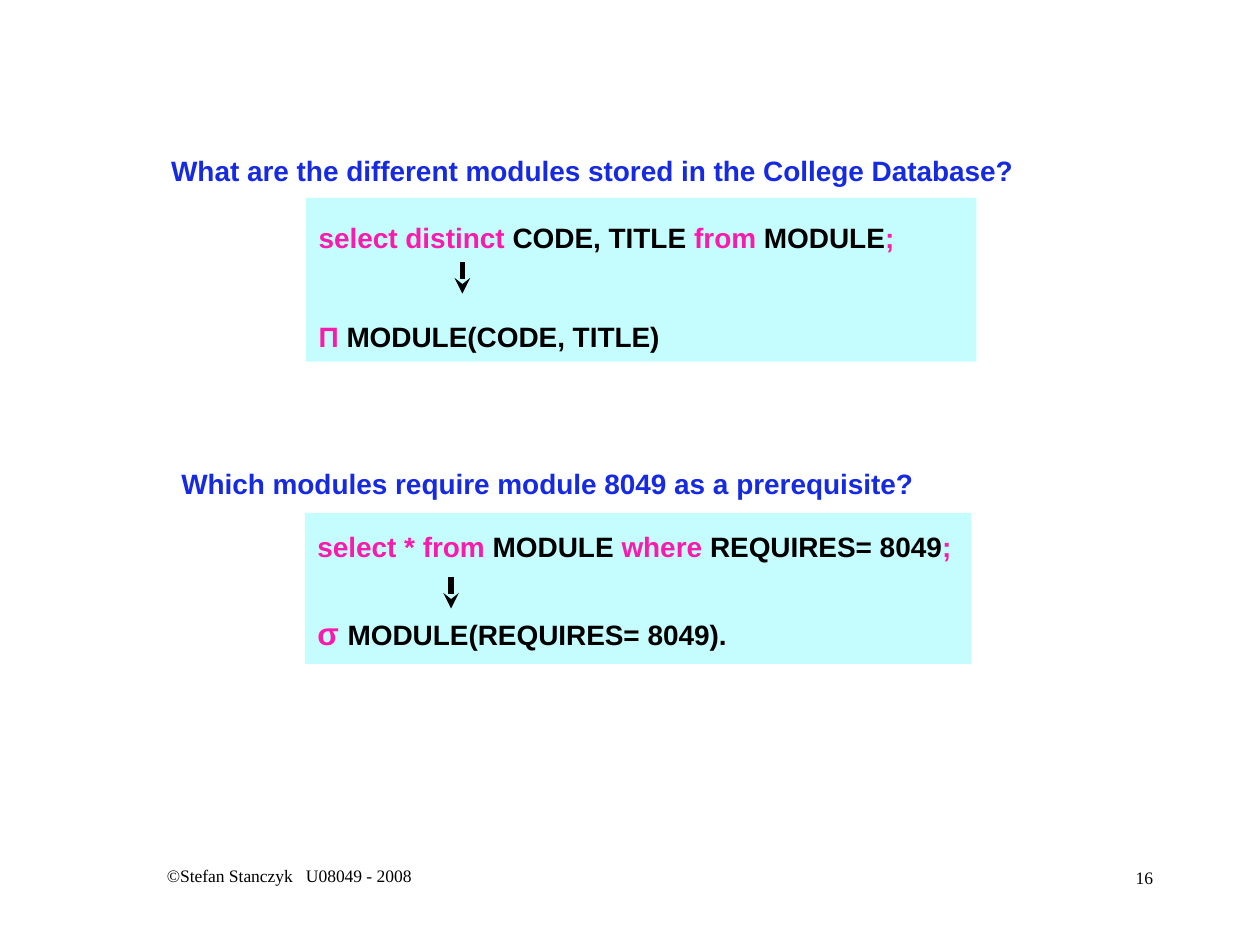
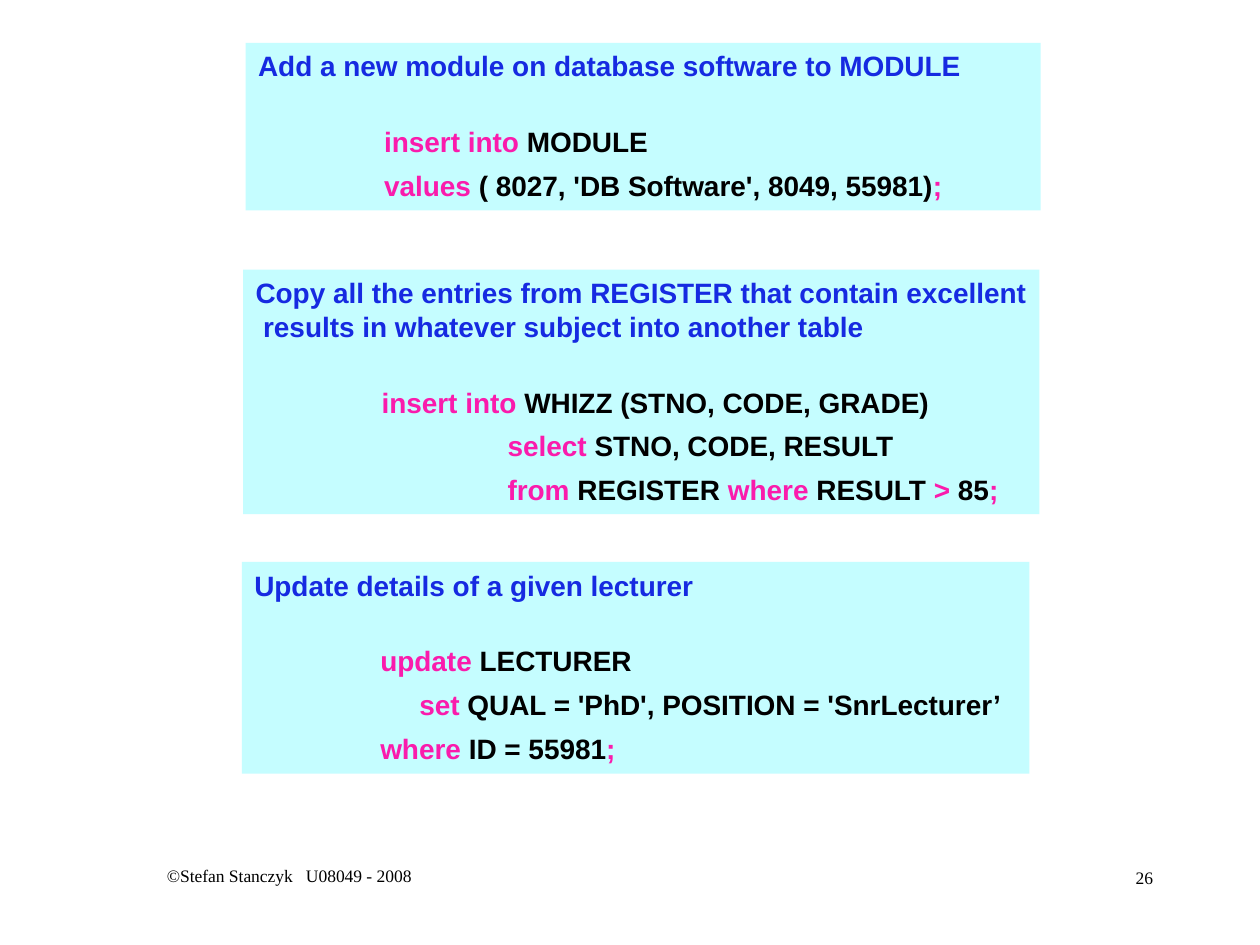
import itertools

import pptx
import pptx.dml.color
import pptx.enum.shapes
import pptx.enum.text
import pptx.oxml
import pptx.oxml.ns
import pptx.util

presentation = pptx.Presentation()
presentation.slide_width = pptx.util.Inches(10)
presentation.slide_height = pptx.util.Inches(7.5)
column = presentation.slide_width / 100
row = presentation.slide_height / 75

BLUE, PINK, BLACK, PANEL = "162AE1", "FA1BAC", "000000", "C5FDFF"
ALIGN = pptx.enum.text.PP_ALIGN

heading = {"colours": [BLUE], "sizes": [16], "font": "Arial", "bold": True}
heading_rest = {**heading, "indent": 0.6}
code = {**heading, "colours": [PINK, BLACK]}
query = {**code, "format": {"line_spacing": 1.5}}
algebra = {**code, "format": {"line_spacing": 1.5, "space_before": pptx.util.Pt(27.6)}}
wide_query = {**code, "format": {"line_spacing": 1.3}}
selection = {**code, "sizes": [18, 16], "format": {"space_before": pptx.util.Pt(29.3)}}
statement = {**wide_query, "indent": 10}
first_statement = {**statement, "format": {"line_spacing": 1.3, "space_before": pptx.util.Pt(18.4)}}
set_clause = {**statement, "indent": 13.1}
subquery = {**statement, "indent": 20}
footer = {"colours": [BLACK], "sizes": [10], "font": "Times New Roman", "bold": False}
footer_left = {**footer, "format": {"alignment": ALIGN.CENTER}}
footer_right = {**footer, "format": {"alignment": ALIGN.RIGHT}}


def colour(hex_string):
    return pptx.dml.color.RGBColor.from_string(hex_string)


def add_box(slide, bounds, lines, fill=None):
    left, top, width, height = bounds
    place = [round(length) for length in (left * column, top * row, width * column, height * row)]
    if fill:
        shape = slide.shapes.add_shape(pptx.enum.shapes.MSO_SHAPE.RECTANGLE, *place)
        shape.shadow.inherit = False
        shape.fill.solid()
        shape.fill.fore_color.rgb = colour(fill)
        shape.line.fill.background()
    else:
        shape = slide.shapes.add_textbox(*place)
    frame = shape.text_frame
    frame_format = {
        "word_wrap": True,
        "vertical_anchor": pptx.enum.text.MSO_ANCHOR.TOP,
        "margin_right": round(column) if lines[0][0] is footer_right else 0,
    }
    if lines[0][0] is footer_left:
        frame_format["margin_right"] = round(column)
    for name, value in frame_format.items():
        setattr(frame, name, value)
    for number, (style, text) in enumerate(lines):
        paragraph = frame.add_paragraph() if number else frame.paragraphs[0]
        paragraph_format = {"alignment": ALIGN.LEFT, **style.get("format", {})}
        for name, value in paragraph_format.items():
            setattr(paragraph, name, value)
        properties = paragraph._p.get_or_add_pPr()
        properties.set("marL", str(round(style.get("indent", 0) * column)))
        properties.set("indent", "0")
        parts = zip(text.split("|"), itertools.cycle(style["colours"]), itertools.cycle(style["sizes"]))
        for words, run_colour, size in parts:
            run = paragraph.add_run()
            run.text = words
            run.font.color.rgb = colour(run_colour)
            run_format = {"size": pptx.util.Pt(size), "name": style["font"], "bold": style["bold"]}
            for name, value in run_format.items():
                setattr(run.font, name, value)


query_boxes = [
    ((12.6, 11.7, 68.9, 3.7), [(heading, "What are the different modules stored in the College Database?")], None),
    ((13.4, 36.5, 60.1, 3.7), [(heading, "Which modules require module 8049 as a prerequisite?")], None),
    ((24.3, 15.7, 53.2, 13), [
        (query, "select distinct| CODE, TITLE |from |MODULE|;"),
        (algebra, "Π |MODULE(CODE, TITLE)"),
    ], PANEL),
    ((24.2, 40.7, 52.9, 12), [
        (wide_query, "select * from| MODULE |where |REQUIRES= 8049|;"),
        (selection, "σ |MODULE(REQUIRES= 8049)."),
    ], PANEL),
]
update_boxes = [
    ((19.5, 3.4, 63.1, 13.3), [
        (heading, "Add a new module on database software to MODULE"),
        (first_statement, "insert into| MODULE"),
        (statement, "values |( 8027, 'DB Software', 8049, 55981)|;"),
    ], PANEL),
    ((19.3, 21.4, 63.2, 19.4), [
        (heading, "Copy all the entries from REGISTER that contain excellent"),
        (heading_rest, "results in whatever subject into another table"),
        (first_statement, "insert into| WHIZZ (STNO, CODE, GRADE)"),
        (subquery, "select |STNO, CODE, RESULT"),
        (subquery, "from |REGISTER |where |RESULT |>| 85|;"),
    ], PANEL),
    ((19.2, 44.6, 62.5, 16.8), [
        (heading, "Update details of a given lecturer"),
        (first_statement, "update |LECTURER"),
        (set_clause, "set| QUAL = 'PhD', POSITION = 'SnrLecturer’"),
        (statement, "where |ID = 55981|;"),
    ], PANEL),
]
translation_arrows = [(36.7, 20.8), (35.8, 45.8)]
arrow_length = 2.5

for page, boxes, arrows in [("16", query_boxes, translation_arrows), ("26", update_boxes, [])]:
    slide = presentation.slides.add_slide(presentation.slide_layouts[6])
    add_box(slide, (7.1, 68.2, 31.7, 5), [(footer_left, "©Stefan Stanczyk   U08049 - 2008")])
    add_box(slide, (71.7, 68.3, 20.8, 5), [(footer_right, page)])
    for bounds, lines, fill in boxes:
        add_box(slide, bounds, lines, fill)
    for across, down in arrows:
        ends = (across * column, down * row, across * column, (down + arrow_length) * row)
        arrow = slide.shapes.add_connector(
            pptx.enum.shapes.MSO_CONNECTOR.STRAIGHT, *[round(end) for end in ends])
        arrow.line.color.rgb = colour(BLACK)
        arrow.line.width = pptx.util.Pt(3)
        tail = pptx.oxml.ns.qn("a:tailEnd")
        arrow.line._get_or_add_ln().append(arrow._element.makeelement(tail, {"type": "stealth"}))
        effects = pptx.oxml.ns.qn("a:effectLst")
        arrow._element.spPr.append(arrow._element.makeelement(effects, {}))

presentation.save("out.pptx")
